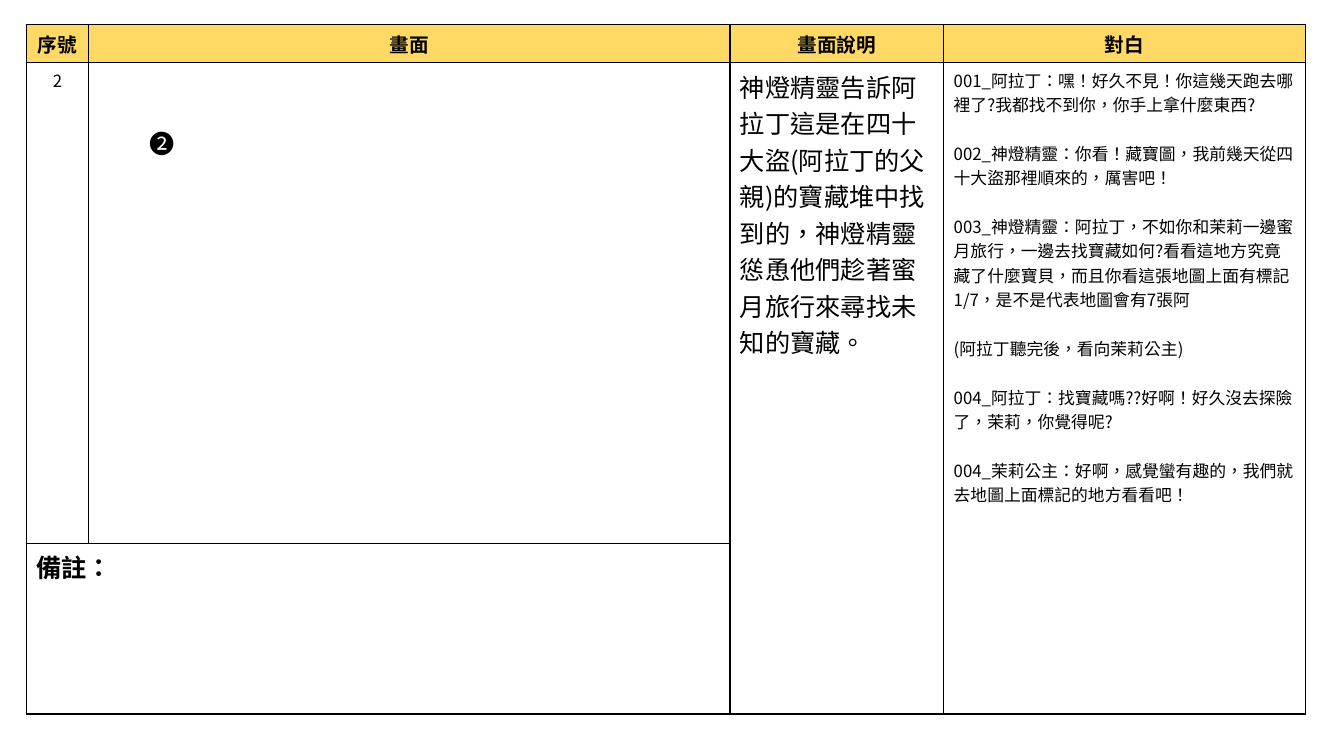
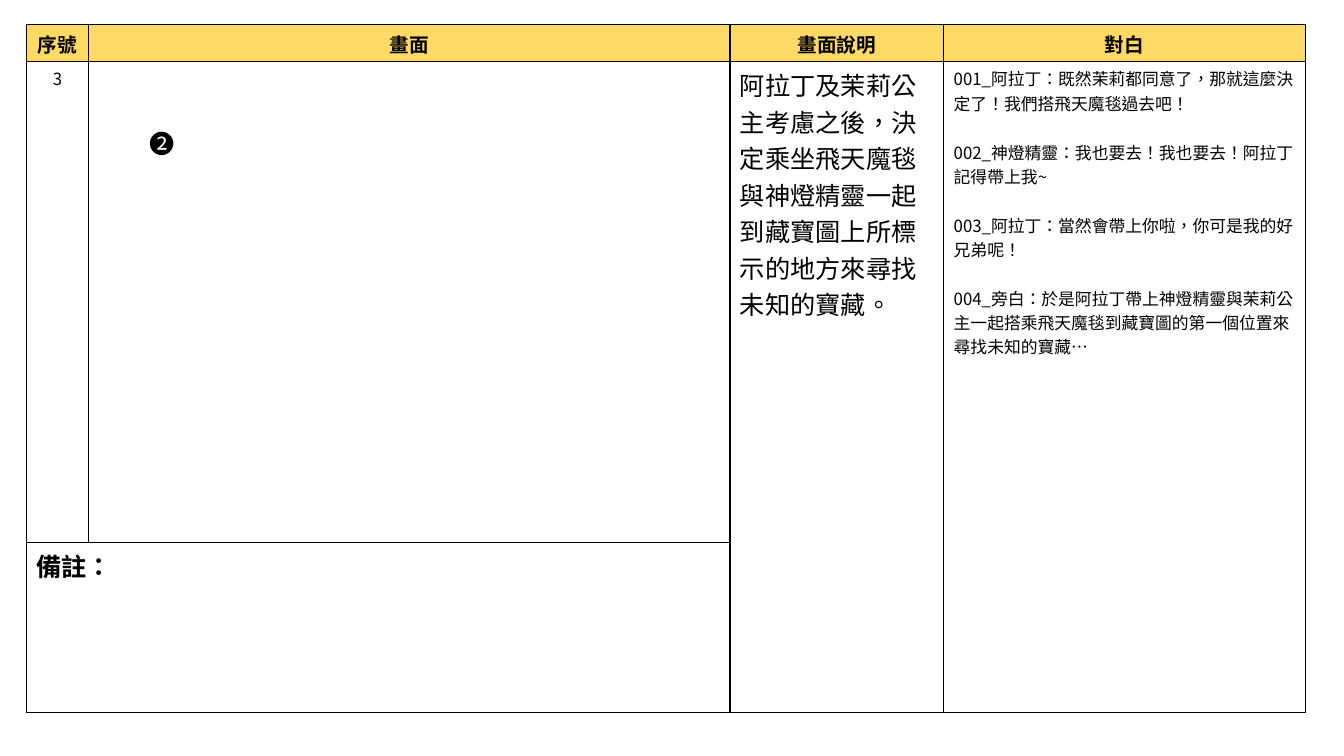
from lxml.etree import SubElement
from pptx import Presentation
from pptx.dml.color import RGBColor
from pptx.enum.text import MSO_AUTO_SIZE, PP_ALIGN
from pptx.oxml.ns import qn
from pptx.util import Inches, Pt

FONT = "Noto Sans CJK SC"
COLORS = {"ink": "000000", "head": "FFD966"}
HEADS = ["序號", "畫面", "畫面說明", "對白"]
COLS = [0.62, 6.36, 2.12, 3.59]
ROWS = [0.37, 4.77, 1.69]
GAP = 17.4

SCENES = [
    ("2",
     "神燈精靈告訴阿拉丁這是在四十大盜(阿拉丁的父親)的寶藏堆中找到的，"
     "神燈精靈慫恿他們趁著蜜月旅行來尋找未知的寶藏。",
     ["001_阿拉丁：嘿！好久不見！你這幾天跑去哪裡了?我都找不到你，你手上拿什麼東西?",
      "002_神燈精靈：你看！藏寶圖，我前幾天從四十大盜那裡順來的，厲害吧！",
      "003_神燈精靈：阿拉丁，不如你和茉莉一邊蜜月旅行，一邊去找寶藏如何?"
      "看看這地方究竟藏了什麼寶貝，而且你看這張地圖上面有標記1/7，是不是代表地圖會有7張阿",
      "(阿拉丁聽完後，看向茉莉公主)",
      "004_阿拉丁：找寶藏嗎??好啊！好久沒去探險了，茉莉，你覺得呢?",
      "004_茉莉公主：好啊，感覺蠻有趣的，我們就去地圖上面標記的地方看看吧！"]),
    ("3",
     "阿拉丁及茉莉公主考慮之後，決定乘坐飛天魔毯與神燈精靈一起到"
     "藏寶圖上所標示的地方來尋找未知的寶藏。",
     ["001_阿拉丁：既然茉莉都同意了，那就這麼決定了！我們搭飛天魔毯過去吧！",
      "002_神燈精靈：我也要去！我也要去！阿拉丁記得帶上我~",
      "003_阿拉丁：當然會帶上你啦，你可是我的好兄弟呢！",
      "004_旁白：於是阿拉丁帶上神燈精靈與茉莉公主一起搭乘飛天魔毯到"
      "藏寶圖的第一個位置來尋找未知的寶藏…"]),
]


def color(name):
    return RGBColor.from_string(COLORS[name])


def write(frame, lines, size, bold=False, align=PP_ALIGN.LEFT):
    """Fill a text frame with one paragraph per line, a line's height apart."""
    for i, line in enumerate(lines):
        para = frame.add_paragraph() if i else frame.paragraphs[0]
        para.text = line
        para.alignment = align
        if i:
            para.space_before = Pt(GAP)
        font = para.font
        font.name, font.size, font.bold = FONT, Pt(size), bold
        font.color.rgb = color("ink")
        props = para._p.pPr.find(qn("a:defRPr"))
        props.set("lang", "zh-TW")
        SubElement(props, qn("a:ea"), typeface=FONT)


def border(cell):
    props = cell._tc.get_or_add_tcPr()
    for side in ("lnL", "lnR", "lnT", "lnB"):
        line = SubElement(props, qn(f"a:{side}"), w=str(Pt(1)))
        fill = SubElement(line, qn("a:solidFill"))
        SubElement(fill, qn("a:srgbClr"), val=COLORS["ink"])


def add_grid(slide, left, top):
    """Add the bordered, empty board with its heading row and merged cells."""
    table = slide.shapes.add_table(
        len(ROWS), len(COLS), Inches(left), Inches(top),
        Inches(sum(COLS)), Inches(sum(ROWS))).table
    table.first_row = table.horz_banding = False
    for col, width in zip(table.columns, COLS):
        col.width = Inches(width)
    for row, height in zip(table.rows, ROWS):
        row.height = Inches(height)
    for cell in table.iter_cells():
        border(cell)
        cell.fill.background()
    for i, head in enumerate(HEADS):
        cell = table.cell(0, i)
        cell.fill.solid()
        cell.fill.fore_color.rgb = color("head")
        write(cell.text_frame, [head], 14, True, PP_ALIGN.CENTER)
    for start, end in (((1, 2), (2, 2)), ((1, 3), (2, 3)), ((2, 0), (2, 1))):
        table.cell(*start).merge(table.cell(*end))
    return table


def add_mark(slide, left, top):
    box = slide.shapes.add_textbox(
        Inches(left), Inches(top), Inches(0.43), Inches(0.4))
    frame = box.text_frame
    frame.word_wrap = True
    frame.auto_size = MSO_AUTO_SIZE.SHAPE_TO_FIT_TEXT
    write(frame, ["❷"], 18)


def add_scene(deck, number, story, lines, left=0.26, top=0.24):
    slide = deck.slides.add_slide(deck.slide_layouts[6])
    table = add_grid(slide, left, top)
    write(table.cell(1, 0).text_frame, [number], 12, align=PP_ALIGN.CENTER)
    write(table.cell(1, 2).text_frame, [story], 18)
    write(table.cell(1, 3).text_frame, lines, 12)
    write(table.cell(2, 0).text_frame, ["備註："], 18, True)
    add_mark(slide, left + 1.12, top + 0.98)


def main():
    deck = Presentation()
    deck.slide_width, deck.slide_height = Inches(13.33), Inches(7.5)
    for scene in SCENES:
        add_scene(deck, *scene)
    deck.save("out.pptx")


if __name__ == "__main__":
    main()
